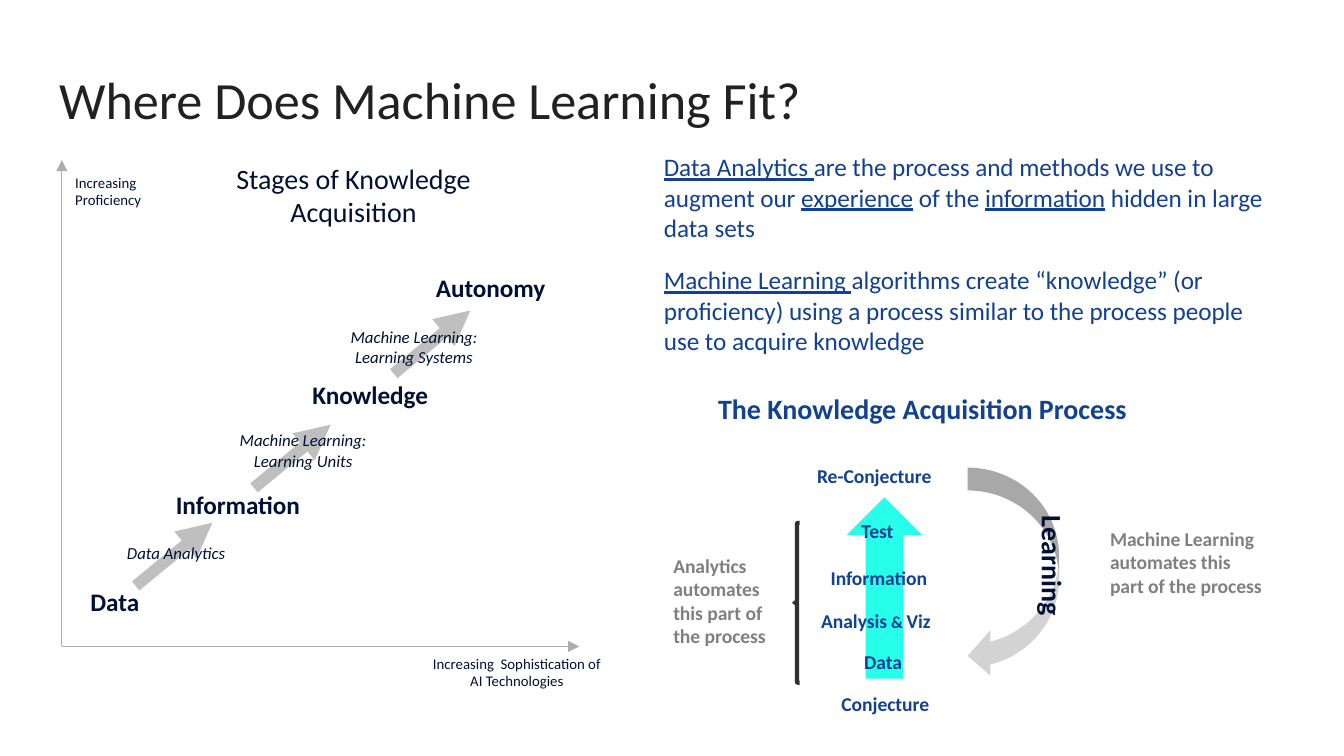
from pptx import Presentation, util as u
from pptx.dml.color import RGBColor
from pptx.enum import shapes, text
from pptx.oxml import ns
from lxml import etree

COLORS = {"navy": "001135", "blue": "124191", "gray": "808080", "title": "212121",
          "arrow": "BFBFBF", "axis": "ADADAD", "cyan": "27FFEB", "cycle": "D3D3D3",
          "brace": "303030"}
LEFT, CENTER = text.PP_ALIGN.LEFT, text.PP_ALIGN.CENTER
STYLES = {
    "stage": ("navy", CENTER, {"size": u.Pt(13.5), "bold": True}),
    "method": ("navy", CENTER, {"size": u.Pt(9), "italic": True}),
    "axis_y": ("navy", LEFT, {"size": u.Pt(7.9)}),
    "axis_x": ("navy", CENTER, {"size": u.Pt(7.9)}),
    "chart_head": ("navy", CENTER, {"size": u.Pt(15)}),
    "body": ("blue", LEFT, {"size": u.Pt(13.5)}),
    "process_head": ("blue", CENTER, {"size": u.Pt(15), "bold": True}),
    "step": ("blue", LEFT, {"size": u.Pt(10.5), "bold": True}),
    "learning": ("navy", LEFT, {"size": u.Pt(15), "bold": True}),
    "note": ("gray", LEFT, {"size": u.Pt(10.5), "bold": True}),
}


def add_text(box, style, paragraphs, wrap=False):
    color, align, fmt = STYLES[style]
    sp = s.shapes.add_textbox(*map(u.Inches, box))
    tf = sp.text_frame
    margin = u.Inches(0.06)
    frame = {"word_wrap": wrap, "auto_size": text.MSO_AUTO_SIZE.SHAPE_TO_FIT_TEXT,
             "margin_left": margin, "margin_right": margin,
             "margin_top": margin, "margin_bottom": margin}
    for name, value in frame.items():
        setattr(tf, name, value)
    for i, runs in enumerate(paragraphs):
        p = tf.paragraphs[0] if i == 0 else tf.add_paragraph()
        p.alignment = align
        for words, extra in runs:
            r = p.add_run()
            r.text = words
            for name, value in {"name": "Calibri", **fmt, **extra}.items():
                setattr(r.font, name, value)
            r.font.color.rgb = RGBColor.from_string(COLORS[color])
    return sp


def add_arrow(start, end, color, width):
    sp = s.shapes.add_connector(shapes.MSO_CONNECTOR.STRAIGHT,
                                *map(u.Inches, start + end))
    sp.line.color.rgb = RGBColor.from_string(COLORS[color])
    sp.line.width = u.Pt(width)
    etree.SubElement(sp.line._get_or_add_ln(), ns.qn("a:tailEnd"), type="triangle")
    etree.SubElement(sp._element.spPr, ns.qn("a:effectLst"))


prs = Presentation()
prs.slide_width, prs.slide_height = u.Inches(10), u.Inches(10 * 9 / 16)
s = prs.slides.add_slide(prs.slide_layouts[5])

title = s.shapes.title
place = {"left": 0.34, "top": 0.45, "width": 9.32, "height": 0.63}
for name, value in place.items():
    setattr(title, name, u.Inches(value))
tf = title.text_frame
tf.text = "Where Does Machine Learning Fit?"
tf.vertical_anchor = text.MSO_ANCHOR.TOP
p = tf.paragraphs[0]
p.alignment = LEFT
r = p.runs[0]
for name, value in {"name": "Calibri", "size": u.Pt(28)}.items():
    setattr(r.font, name, value)
r.font.color.rgb = RGBColor.from_string(COLORS["title"])

for x, y in [(1.01, 4.36), (1.89, 3.63), (2.93, 2.78)]:
    add_arrow((x, y), (x + 0.57, y - 0.47), "arrow", 6.25)
for end in [(0.46, 1.19), (4.31, 4.81)]:
    add_arrow((0.46, 4.81), end, "axis", 0.75)

SHAPE = shapes.MSO_SHAPE
for kind, box, fill, line, turn in [
    (SHAPE.DOWN_ARROW, (6.3, 3.7, 0.56, 1.35), "cyan", None, 180),
    (SHAPE.CURVED_LEFT_ARROW, (7.2, 3.48, 0.68, 1.57), "cycle", None, 0),
    (SHAPE.LEFT_BRACE, (5.91, 3.89, 0.04, 1.19), None, "brace", 0),
]:
    sp = s.shapes.add_shape(kind, *map(u.Inches, box))
    sp.shadow.inherit = False
    sp.rotation = turn
    if fill:
        sp.fill.solid()
        sp.fill.fore_color.rgb = RGBColor.from_string(COLORS[fill])
    else:
        sp.fill.background()
    if line:
        sp.line.color.rgb = RGBColor.from_string(COLORS[line])
        sp.line.width = u.Pt(2.25)
    else:
        sp.line.fill.background()

for box, style, words, wrap in [
    ((0.59, 4.3, 0.53, 0.35), "stage", "Data", False),
    ((1.22, 3.58, 1.1, 0.35), "stage", "Information", False),
    ((2.22, 2.76, 1.07, 0.35), "stage", "Knowledge", False),
    ((3.14, 1.97, 1.02, 0.35), "stage", "Autonomy", False),
    ((0.88, 3.98, 0.86, 0.27), "method", "Data Analytics", False),
    ((1.69, 3.14, 1.13, 0.42), "method", "Machine Learning: Learning Units", True),
    ((2.4, 2.37, 1.36, 0.42), "method", "Machine Learning: Learning Systems", True),
    ((0.5, 1.23, 0.82, 0.38), "axis_y", "Increasing Proficiency", True),
    ((3.14, 4.81, 1.41, 0.38), "axis_x",
     "Increasing  Sophistication of AI Technologies", True),
    ((1.44, 1.14, 2.38, 0.62), "chart_head", "Stages of Knowledge Acquisition", True),
    ((4.88, 2.85, 3.97, 0.37), "process_head",
     "The Knowledge Acquisition Process", True),
    ((6.02, 3.39, 1.03, 0.3), "step", "Re-Conjecture", False),
    ((6.35, 3.8, 0.4, 0.3), "step", "Test", False),
    ((6.12, 4.15, 0.88, 0.3), "step", "Information", False),
    ((6.37, 4.78, 0.44, 0.3), "step", "Data", False),
    ((6.2, 5.09, 0.81, 0.3), "step", "Conjecture", False),
]:
    add_text(box, style, [[(words, {})]], wrap)

add_text((6.05, 4.47, 0.99, 0.3), "step",
         [[("Analysis", {}), (" & ", {"size": u.Pt(9)}), ("Viz", {})]])

under = {"underline": True}
add_text((4.88, 1.07, 4.66, 0.8), "body", [[
    ("Data Analytics ", under),
    ("are the process and methods we use to augment our ", {}),
    ("experience", under), (" of the ", {}), ("information", under),
    (" hidden in large data sets", {})]], True)
add_text((4.88, 1.91, 4.66, 0.8), "body", [[
    ("Machine Learning ", under),
    ("algorithms create “knowledge” (or proficiency) using a process similar "
     "to the process people use to acquire knowledge", {})]], True)

for box, lines in [
    ((4.95, 4.06, 0.84, 0.83),
     ["Analytics", "automates", "this part of", "the process"]),
    ((8.2, 3.86, 1.3, 0.65),
     ["Machine Learning", "automates this", "part of the process"]),
]:
    add_text(box, "note", [[(line, {})] for line in lines])

add_text((7.37, 4.06, 0.93, 0.37), "learning", [[("Learning", {})]]).rotation = 90

prs.save("out.pptx")
